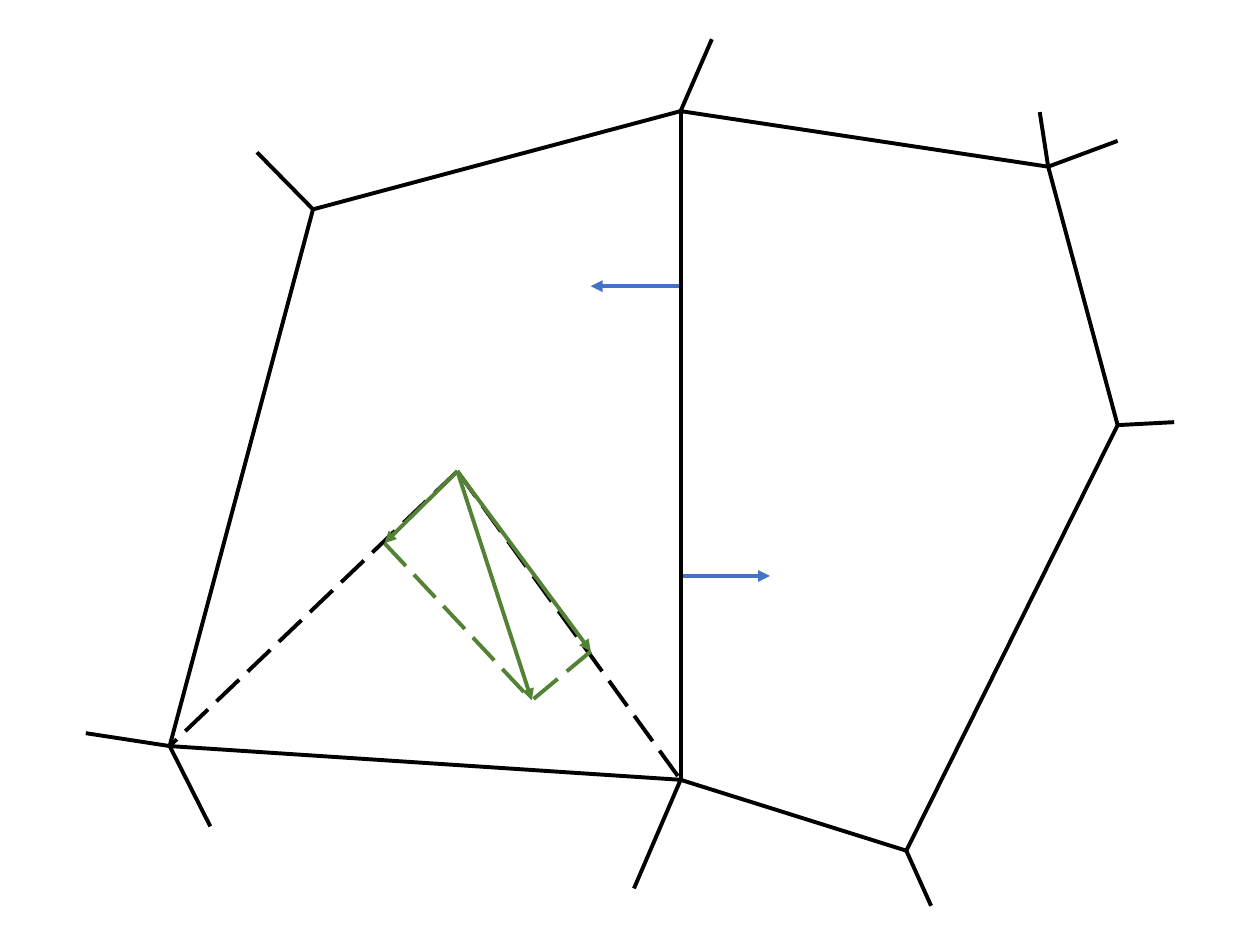
from lxml import etree
from pptx import Presentation
from pptx.dml.color import RGBColor
from pptx.enum.dml import MSO_LINE
from pptx.enum.shapes import MSO_CONNECTOR
from pptx.oxml.ns import qn
from pptx.util import Cm, Pt

STRAIGHT = MSO_CONNECTOR.STRAIGHT
LONG_DASH = MSO_LINE.LONG_DASH
LINE_WIDTH = Pt(2.25)
BLANK_LAYOUT = 6

COLORS = {"cell": "000000", "normal": "4472C4", "force": "548235"}

# Cell vertices, in centimetres
VERTICES = {
    "top": (13.72, 2.24),
    "upper_left": (6.31, 4.22),
    "lower_left": (3.42, 15.04),
    "bottom": (13.72, 15.72),
    "lower_right": (18.27, 17.15),
    "right": (22.53, 8.57),
    "upper_right": (21.13, 3.36),
}
LEFT_CELL = ["top", "upper_left", "lower_left", "bottom"]
RIGHT_CELL = ["top", "upper_right", "right", "lower_right", "bottom"]

# Outer ends of the edges that lead to neighbouring cells
NEIGHBOUR_ENDS = {
    "top": [(14.35, 0.79)],
    "upper_left": [(5.18, 3.07)],
    "lower_left": [(1.73, 14.78), (4.24, 16.66)],
    "bottom": [(12.78, 17.91)],
    "lower_right": [(18.77, 18.26)],
    "right": [(23.67, 8.51)],
    "upper_right": [(20.96, 2.26), (22.53, 2.84)],
}

# Force at the centre of the left cell and its two components
CENTRE = (9.22, 9.5)
FORCE_TIP = (10.72, 14.12)
COMPONENT_TIPS = [(7.75, 10.95), (11.91, 13.13)]

# Normals of the shared edge
NORMALS = [((13.69, 5.77), (11.91, 5.77)), ((13.77, 11.61), (15.52, 11.61))]


def add_line(slide, start, end, color, dashed=False):
    connector = slide.shapes.add_connector(
        STRAIGHT, *(Cm(value) for value in start + end))
    connector.line.width = LINE_WIDTH
    connector.line.color.rgb = RGBColor.from_string(COLORS[color])
    if dashed:
        connector.line.dash_style = LONG_DASH
    etree.SubElement(connector._element.spPr, qn("a:effectLst"))
    return connector


def add_arrow(slide, start, end, color):
    connector = add_line(slide, start, end, color)
    outline = connector.line._get_or_add_ln()
    etree.SubElement(outline, qn("a:tailEnd"), type="triangle")


def add_path(slide, names):
    for first, second in zip(names, names[1:]):
        add_line(slide, VERTICES[first], VERTICES[second], "cell")


def main():
    presentation = Presentation()
    presentation.slide_width = Cm(25.4)
    presentation.slide_height = Cm(19.05)
    slide = presentation.slides.add_slide(
        presentation.slide_layouts[BLANK_LAYOUT])

    # Outlines of the two cells
    add_path(slide, LEFT_CELL)
    add_path(slide, RIGHT_CELL)

    # Lines from the centre to the lower vertices
    for name in ("lower_left", "bottom"):
        add_line(slide, CENTRE, VERTICES[name], "cell", dashed=True)

    # Shared edge and its normals
    add_path(slide, ["top", "bottom"])
    for start, end in NORMALS:
        add_arrow(slide, start, end, "normal")

    # Force parallelogram
    for tip in [*COMPONENT_TIPS, FORCE_TIP]:
        add_arrow(slide, CENTRE, tip, "force")
    for tip in COMPONENT_TIPS:
        add_line(slide, tip, FORCE_TIP, "force", dashed=True)

    # Edges of the neighbouring cells
    for name, ends in NEIGHBOUR_ENDS.items():
        for end in ends:
            add_line(slide, VERTICES[name], end, "cell")

    presentation.save("out.pptx")


if __name__ == "__main__":
    main()
